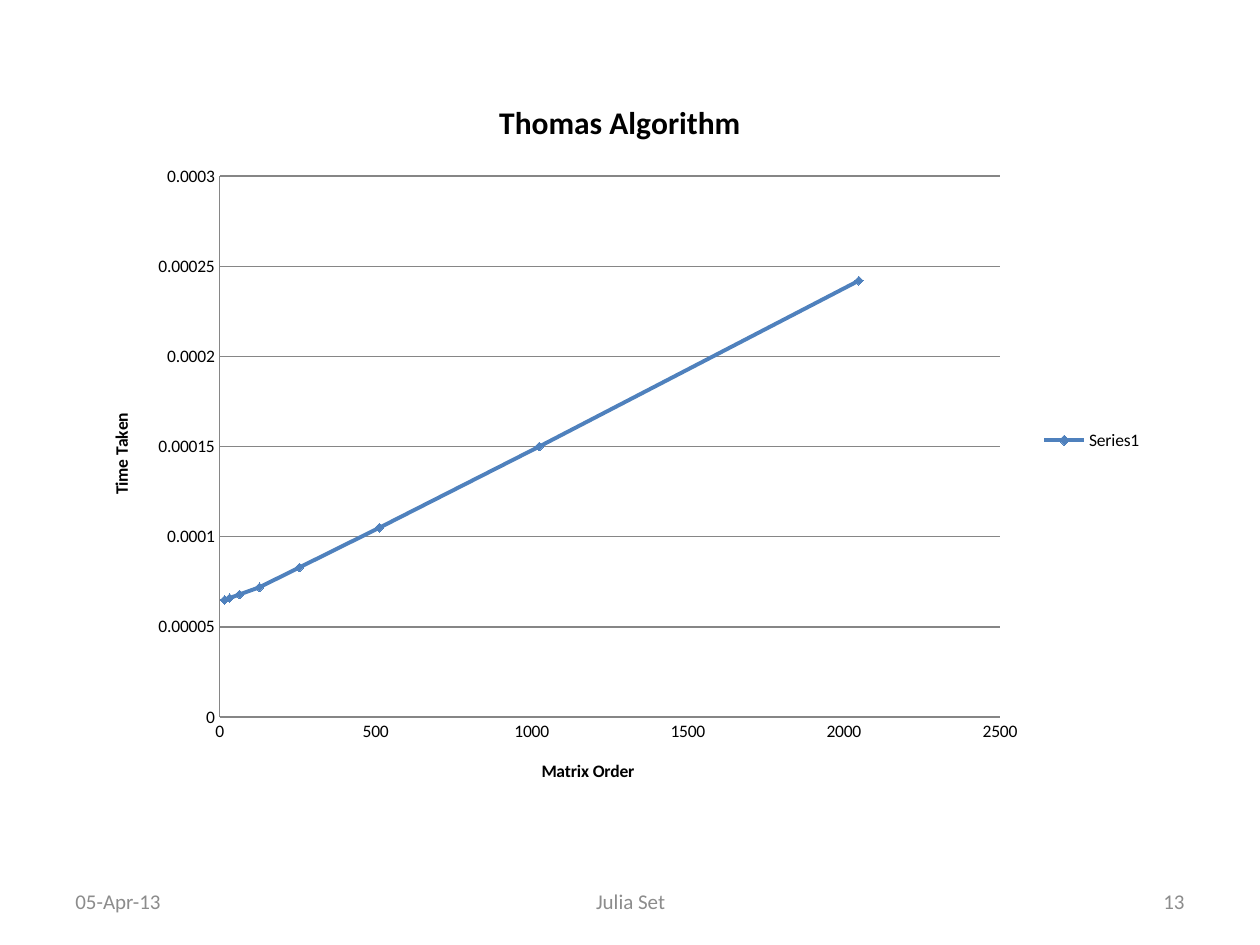
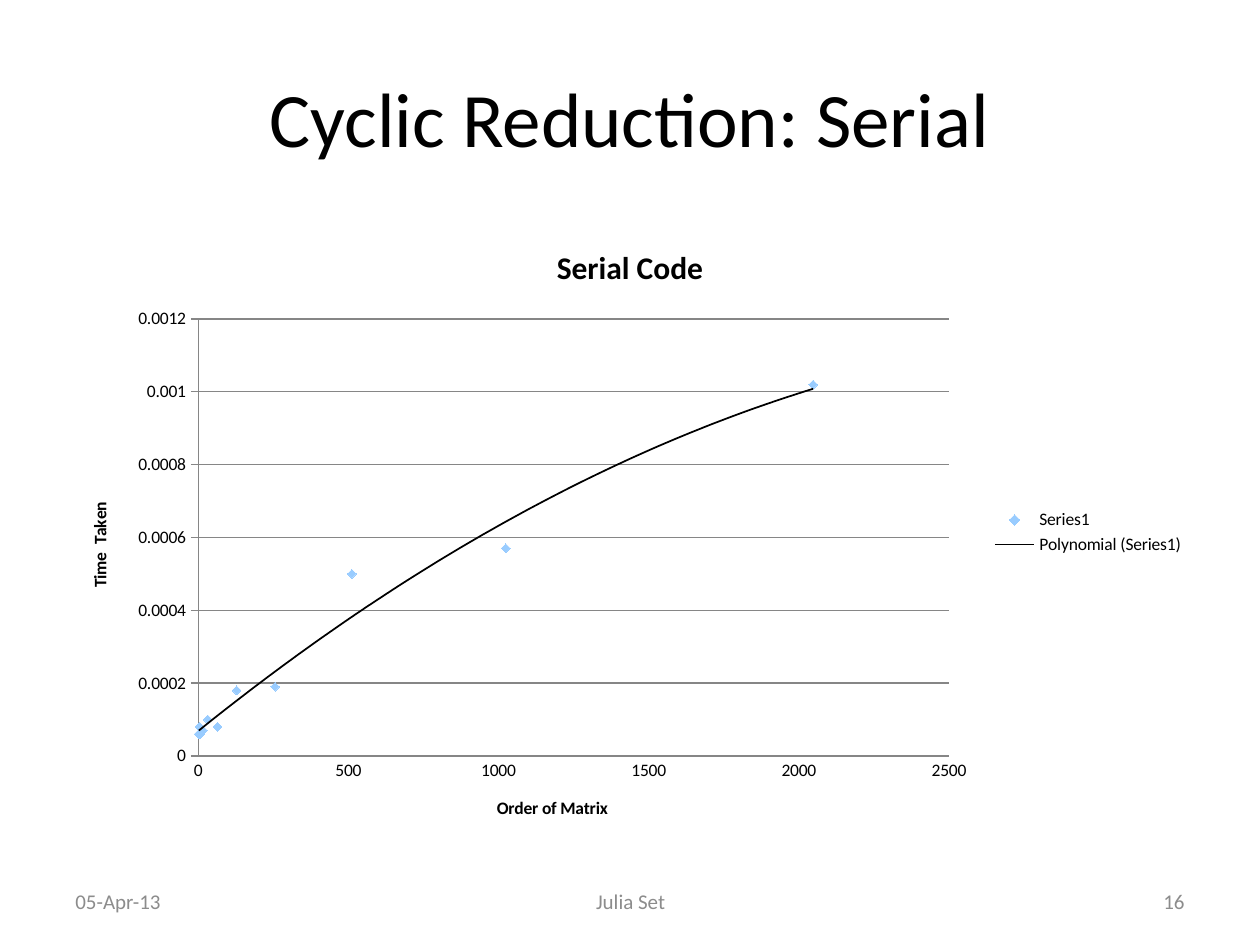
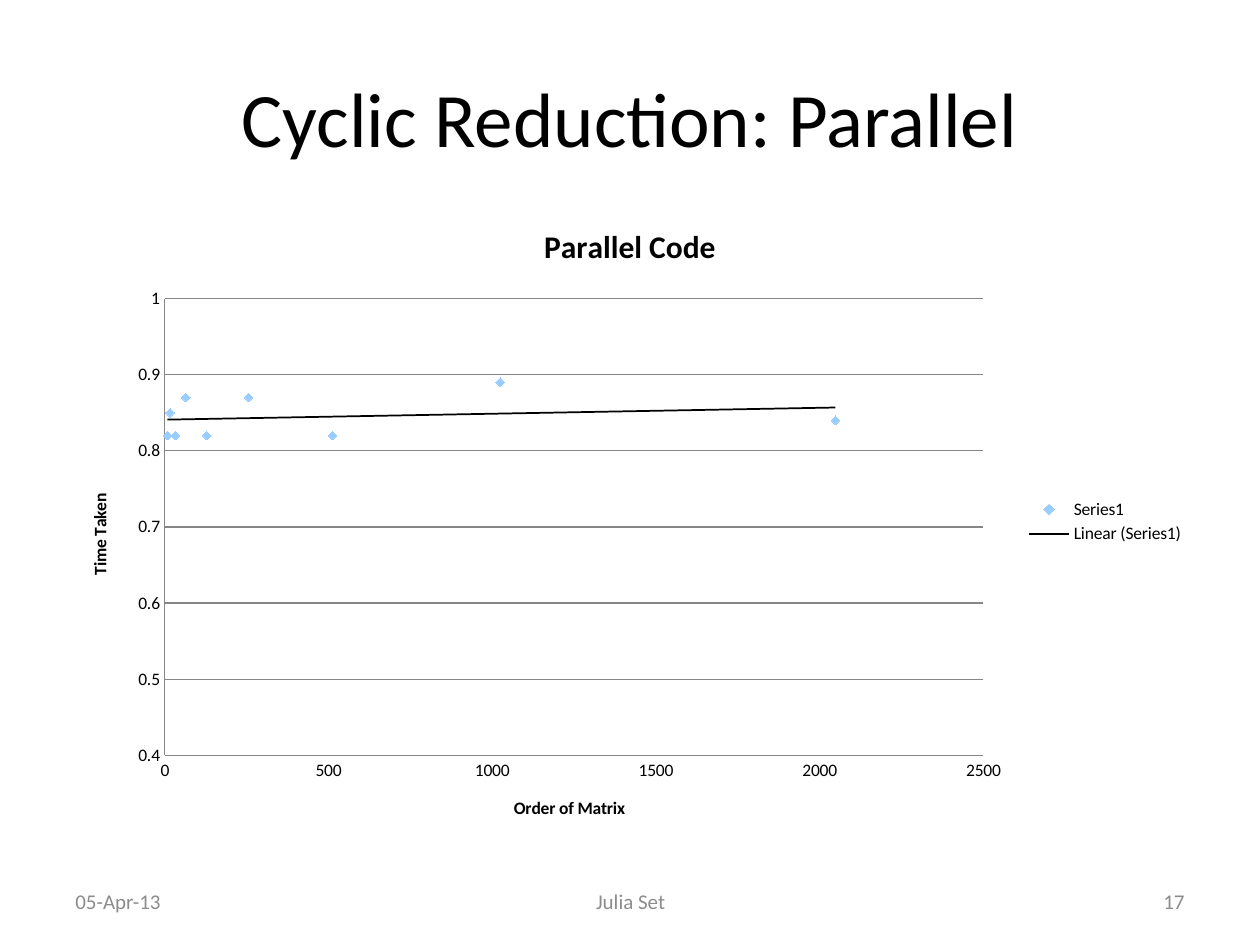
"""Build three slides that chart solver time against matrix order."""
from lxml import etree
from pptx import Presentation
from pptx import util as u
from pptx.chart import data as chart_data
from pptx.dml import color
from pptx.enum import chart as charts
from pptx.enum import text
from pptx.oxml import ns

FONT = "Calibri"
BLACK, GRAY, GRID, BLUE, LIGHT_BLUE = "000000", "8C8C8C", "868686", "4F81BD", "99CCFF"
LEFT, CENTER, RIGHT = text.PP_ALIGN.LEFT, text.PP_ALIGN.CENTER, text.PP_ALIGN.RIGHT
TITLE_ONLY, BLANK = 5, 6
LARGEST_POWER = 11

TITLE_BOX = (0.5, 0.3, 9, 1.25)
FOOTER_TOP, FOOTER_HEIGHT = 6.95, 0.4
FOOTERS = [
    ("05-Apr-13", 0.5, 2.33, LEFT),
    ("Julia Set", 3.42, 3.17, CENTER),
    ("{number}", 7.17, 2.33, RIGHT),
]
SLIDES = [
    dict(number=13, title=None, box=(0.67, 0.58, 8.5, 5.83),
         chart_title="Thomas Algorithm", x_title="Matrix Order", y_title="Time Taken",
         y_range=(0, 0.0003, 0.00005), ticks=charts.XL_TICK_MARK.NONE, trend=None,
         times=[0.000065, 0.000066, 0.000068, 0.000072, 0.000083, 0.000105,
                0.00015, 0.000242]),
    dict(number=16, title="Cyclic Reduction: Serial", box=(0.5, 1.75, 9, 4.95),
         chart_title="Serial Code", x_title="Order of Matrix", y_title="Time  Taken",
         y_range=(0, 0.0012, 0.0002), ticks=charts.XL_TICK_MARK.CROSS,
         trend=("Polynomial (Series1)", "poly"),
         times=[0.00006, 0.00008, 0.00006, 0.00007, 0.0001, 0.00008, 0.00018,
                0.00019, 0.0005, 0.00057, 0.00102]),
    dict(number=17, title="Cyclic Reduction: Parallel", box=(0.5, 1.58, 9, 5.12),
         chart_title="Parallel Code", x_title="Order of Matrix", y_title="Time Taken",
         y_range=(0.4, 1, 0.1), ticks=charts.XL_TICK_MARK.NONE,
         trend=("Linear (Series1)", "linear"),
         times=[0.82, 0.85, 0.82, 0.87, 0.82, 0.87, 0.82, 0.89, 0.84]),
]


def rgb(value):
    """Turn a hex string into a colour."""
    return color.RGBColor.from_string(value)


def inches(box):
    """Turn a box of numbers into lengths."""
    return [u.Inches(length) for length in box]


def write(frame, words, size=10, bold=False, fill=BLACK, align=CENTER):
    """Put one formatted line into a text frame."""
    paragraph = frame.paragraphs[0]
    paragraph.alignment = align
    run = paragraph.add_run()
    run.text = words
    style_font(run.font, size, bold, fill)


def style_font(font, size=10, bold=False, fill=BLACK):
    """Set the face, size, weight and colour of a font."""
    font.name, font.size, font.bold = FONT, u.Pt(size), bold
    font.color.rgb = rgb(fill)


def style_line(line, fill, width):
    """Set the colour and width of a line."""
    line.color.rgb = rgb(fill)
    line.width = u.Pt(width)


def add_title(slide, words):
    """Place and fill the title placeholder."""
    title = slide.shapes.title
    title.left, title.top, title.width, title.height = inches(TITLE_BOX)
    title.text_frame.vertical_anchor = text.MSO_ANCHOR.MIDDLE
    write(title.text_frame, words, size=44)


def add_footers(slide, number):
    """Add the date, the talk's name and the slide number."""
    for words, left, width, align in FOOTERS:
        box = slide.shapes.add_textbox(*inches((left, FOOTER_TOP, width, FOOTER_HEIGHT)))
        box.text_frame.word_wrap = True
        box.text_frame.vertical_anchor = text.MSO_ANCHOR.MIDDLE
        write(box.text_frame, words.format(number=number), size=12, fill=GRAY, align=align)


def style_axis(axis, title, low, high, step, ticks):
    """Set an axis's title, scale and lines."""
    write(axis.axis_title.text_frame, title, bold=True)
    axis.minimum_scale, axis.maximum_scale, axis.major_unit = low, high, step
    axis.major_tick_mark = ticks
    axis.minor_tick_mark = charts.XL_TICK_MARK.NONE
    axis.tick_label_position = charts.XL_TICK_LABEL_POSITION.NEXT_TO_AXIS
    style_font(axis.tick_labels.font)
    style_line(axis.format.line, GRID, 0.75)


def add_trend(series, name, kind):
    """Add a black trend line to a series."""
    order = '<c:order val="2"/>' if kind == "poly" else ""
    trend = etree.fromstring(
        f'<c:trendline {ns.nsdecls("c", "a")}><c:name>{name}</c:name>'
        f'<c:spPr><a:ln w="{u.Pt(1)}"><a:solidFill><a:srgbClr val="{BLACK}"/>'
        f'</a:solidFill></a:ln></c:spPr><c:trendlineType val="{kind}"/>{order}'
        '<c:dispRSqr val="0"/><c:dispEq val="0"/></c:trendline>')
    series._element.find(ns.qn("c:xVal")).addprevious(trend)


def style_series(series, trend):
    """Draw a series as a joined line, or as points with a trend line."""
    fill = LIGHT_BLUE if trend else BLUE
    series.marker.style = charts.XL_MARKER_STYLE.DIAMOND
    series.marker.size = 5
    series.marker.format.fill.solid()
    series.marker.format.fill.fore_color.rgb = rgb(fill)
    series.marker.format.line.color.rgb = rgb(fill)
    if trend:
        series.format.line.fill.background()
        add_trend(series, *trend)
    else:
        style_line(series.format.line, fill, 2.25)


def add_timing_chart(slide, content):
    """Chart the times against matrix orders that double up to the largest."""
    times, trend = content["times"], content["trend"]
    data = chart_data.XyChartData()
    points = data.add_series("Series1")
    for power, time in enumerate(times, LARGEST_POWER - len(times) + 1):
        points.add_data_point(2 ** power, time)
    kind = charts.XL_CHART_TYPE.XY_SCATTER if trend else charts.XL_CHART_TYPE.XY_SCATTER_SMOOTH
    chart = slide.shapes.add_chart(kind, *inches(content["box"]), data).chart

    style_font(chart.font)
    write(chart.chart_title.text_frame, content["chart_title"], size=18, bold=True)
    chart.has_legend = True
    chart.legend.position = charts.XL_LEGEND_POSITION.RIGHT
    chart.legend.include_in_layout = False
    style_font(chart.legend.font)

    orders, durations = chart.category_axis, chart.value_axis
    style_axis(orders, content["x_title"], 0, 2500, 500, charts.XL_TICK_MARK.NONE)
    style_axis(durations, content["y_title"], *content["y_range"], content["ticks"])
    orders.has_major_gridlines = False
    style_line(durations.major_gridlines.format.line, GRID, 0.75)

    plot = chart.plots[0]
    plot.vary_by_categories = False
    plot.series[0].smooth = trend is None
    style_series(plot.series[0], trend)


def main():
    """Build and save the presentation."""
    presentation = Presentation()
    presentation.slide_width, presentation.slide_height = inches((10, 7.5))
    for content in SLIDES:
        layout = TITLE_ONLY if content["title"] else BLANK
        slide = presentation.slides.add_slide(presentation.slide_layouts[layout])
        if content["title"]:
            add_title(slide, content["title"])
        add_footers(slide, content["number"])
        add_timing_chart(slide, content)
    presentation.save("out.pptx")


if __name__ == "__main__":
    main()
